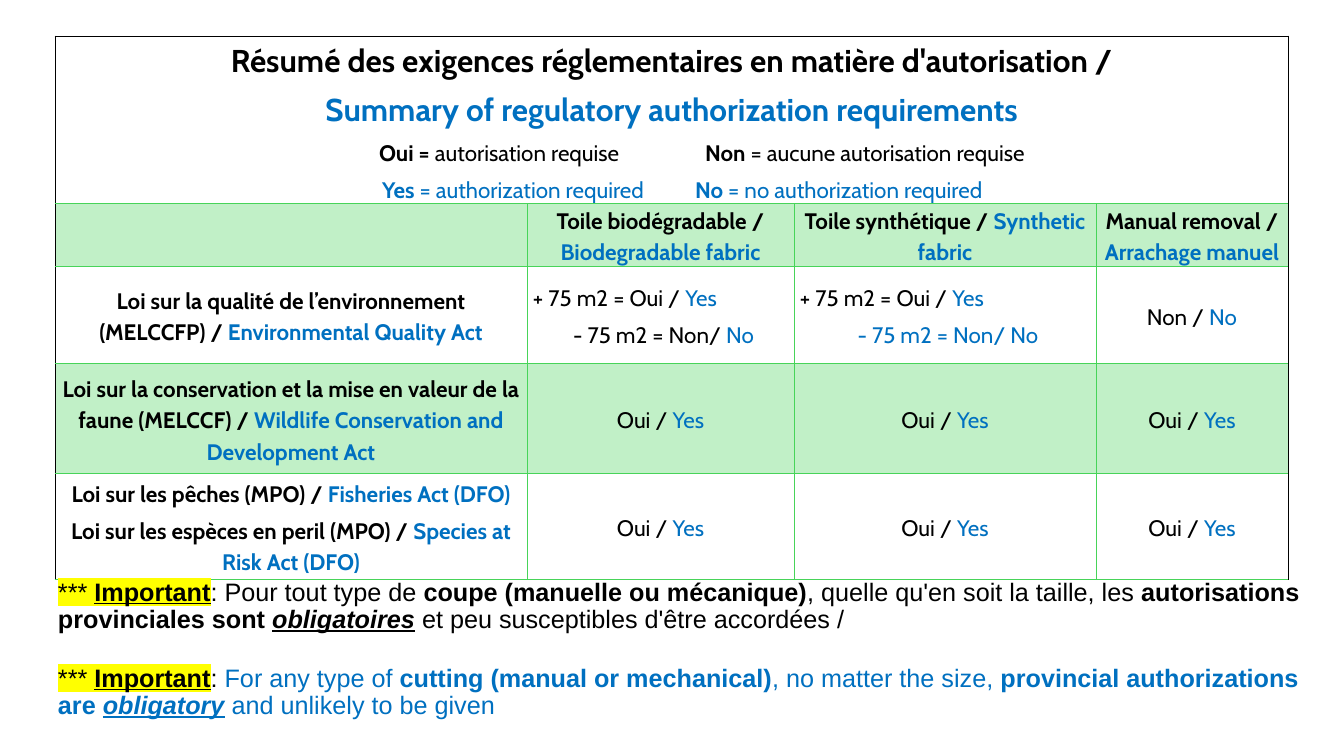
from lxml import etree
from pptx import Presentation
from pptx.dml.color import RGBColor
from pptx.enum.text import MSO_ANCHOR, PP_ALIGN
from pptx.oxml.ns import qn
from pptx.util import Emu, Pt

PX = 914400 / 50.4
LEFT, CENTER = PP_ALIGN.LEFT, PP_ALIGN.CENTER
MIDDLE = MSO_ANCHOR.MIDDLE
BLACK, BLUE, WHITE = "000000", "0070C0", "FFFFFF"
GREEN, PALE_GREEN, YELLOW = "47D459", "C1F0C7", "FFFF00"


def px(value):
    return Emu(round(value * PX))


def add_runs(paragraph, runs, size, font_name):
    """Add (text, colour, style) runs; style letters: b, i, u, h (highlight)."""
    for text, colour, style in runs:
        run = paragraph.add_run()
        run.text = text
        font = run.font
        font.size, font.name = Pt(size), font_name
        font.bold, font.italic, font.underline = (letter in style for letter in "biu")
        font.color.rgb = RGBColor.from_string(colour)
        if "h" in style:
            highlight = etree.Element(qn("a:highlight"))
            etree.SubElement(highlight, qn("a:srgbClr"), val=YELLOW)
            run._r.rPr.find(qn("a:solidFill")).addnext(highlight)


presentation = Presentation()
presentation.slide_width, presentation.slide_height = px(1344), px(756)
slide = presentation.slides.add_slide(presentation.slide_layouts[6])

# Cell contents: each paragraph is (runs, size, alignment, tab stops)
title = [
    ([("Résumé des exigences réglementaires en matière d'autorisation /", BLACK, "b")],
     45, CENTER, ()),
    ([("Summary of regulatory authorization requirements", BLUE, "b")], 45, CENTER, ()),
    ([("\tOui = ", BLACK, "b"), ("autorisation requise", BLACK, ""),
      ("\tNon", BLACK, "b"), (" = aucune autorisation requise", BLACK, "")],
     32, LEFT, (324, 650)),
    ([("\tYes ", BLUE, "b"), ("= authorization required", BLUE, ""),
      ("\tNo ", BLUE, "b"), ("= no authorization required", BLUE, "")],
     32, LEFT, (327, 640)),
]
headings = [[]] + [
    [([(first, BLACK, "b"), (second, BLUE, "b")], 32, CENTER, ())]
    for first, second in [
        ("Toile biodégradable / ", "Biodegradable fabric"),
        ("Toile synthétique / ", "Synthetic fabric"),
        ("Manual removal / ", "Arrachage manuel"),
    ]
]
acts = [
    [([(french, BLACK, "b"), (english, BLUE, "b")], 32, CENTER, ())
     for french, english in lines]
    for lines in [
        [("Loi sur la qualité de l’environnement (MELCCFP) / ", "Environmental Quality Act")],
        [("Loi sur la conservation et la mise en valeur de la faune (MELCCF) / ",
          "Wildlife Conservation and Development Act")],
        [("Loi sur les pêches (MPO) / ", "Fisheries Act (DFO)"),
         ("Loi sur les espèces en peril (MPO) / ", "Species at Risk Act (DFO)")],
    ]
]
yes = [([("Oui / ", BLACK, ""), ("Yes", BLUE, "")], 32, CENTER, ())]
no = [([("Non / ", BLACK, ""), ("No", BLUE, "")], 32, CENTER, ())]
by_area = [
    [([("+ 75 m2 = Oui / ", BLACK, ""), ("Yes", BLUE, "")], 32, LEFT, ()),
     ([("- 75 m2 = Non/ ", colour, ""), ("No", BLUE, "")], 32, CENTER, ())]
    for colour in (BLACK, BLUE)
]
rows = [
    [title, [], [], []],
    headings,
    [acts[0], *by_area, no],
    [acts[1], yes, yes, yes],
    [acts[2], yes, yes, yes],
]

# Table
column_widths = [472, 267, 302, 192]
row_heights = [167, 63, 97, 110, 106]
table = slide.shapes.add_table(
    len(rows), len(column_widths), px(55), px(36),
    px(sum(column_widths)), px(sum(row_heights))).table
table.first_row = table.horz_banding = False
for column, width in zip(table.columns, column_widths):
    column.width = px(width)
for row, height in zip(table.rows, row_heights):
    row.height = px(height)
table.cell(0, 0).merge(table.cell(0, 3))

for r, row in enumerate(rows):
    for c, paragraphs in enumerate(row):
        cell = table.cell(r, c)
        cell.vertical_anchor = MIDDLE
        cell.margin_right = cell.margin_top = cell.margin_bottom = 0
        cell.margin_left = px(6) if paragraphs in by_area else 0

        # Borders: black outer frame, green inner grid
        properties = cell._tc.get_or_add_tcPr()
        sides = {
            "lnL": BLACK if c == 0 else GREEN,
            "lnR": BLACK if c == 3 or r == 0 else GREEN,
            "lnT": BLACK if r == 0 else GREEN,
            "lnB": GREEN,
        }
        for side, colour in sides.items():
            thick = (r, side) in ((0, "lnB"), (1, "lnT"))
            line = etree.SubElement(properties, qn("a:" + side), w=str(Pt(1.5 if thick else 1)))
            fill = etree.SubElement(line, qn("a:solidFill"))
            etree.SubElement(fill, qn("a:srgbClr"), val=colour)
        cell.fill.solid()
        cell.fill.fore_color.rgb = RGBColor.from_string(PALE_GREEN if r in (1, 3) else WHITE)

        for i, (runs, size, alignment, stops) in enumerate(paragraphs):
            frame = cell.text_frame
            paragraph = frame.add_paragraph() if i else frame.paragraphs[0]
            paragraph.alignment = alignment
            paragraph.line_spacing = 1.15
            paragraph.space_before = Pt(8 if i else 0)
            if stops:
                tabs = etree.SubElement(paragraph._p.get_or_add_pPr(), qn("a:tabLst"))
                for stop in stops:
                    etree.SubElement(tabs, qn("a:tab"), pos=str(px(stop)), algn="l")
            add_runs(paragraph, runs, size, "Cabin")

# Notes below the table
notes = [
    [("*** ", BLACK, "h"), ("Important", BLACK, "buh"),
     (": Pour tout type de ", BLACK, ""),
     ("coupe (manuelle ou mécanique)", BLACK, "b"),
     (", quelle qu'en soit la taille, les ", BLACK, ""),
     ("autorisations provinciales sont ", BLACK, "b"),
     ("obligatoires", BLACK, "biu"),
     (" et peu susceptibles d'être accordées /", BLACK, "")],
    [("*** ", BLACK, "h"), ("Important", BLACK, "buh"), (": ", BLACK, ""),
     ("For any type of ", BLUE, ""),
     ("cutting (manual or mechanical)", BLUE, "b"),
     (", no matter the size, ", BLUE, ""),
     ("provincial authorizations are ", BLUE, "b"),
     ("obligatory", BLUE, "biu"),
     (" and unlikely to be given", BLUE, "")],
]
frame = slide.shapes.add_textbox(px(55), px(557), px(1280), px(185)).text_frame
frame.word_wrap = True
frame.vertical_anchor = MIDDLE
frame.margin_left = frame.margin_right = frame.margin_top = frame.margin_bottom = px(3)
for i, runs in enumerate(notes):
    paragraph = frame.add_paragraph() if i else frame.paragraphs[0]
    paragraph.line_spacing = 0.9
    paragraph.space_before = Pt(45 if i else 0)
    add_runs(paragraph, runs, 36, "Arial")

presentation.save("out.pptx")
